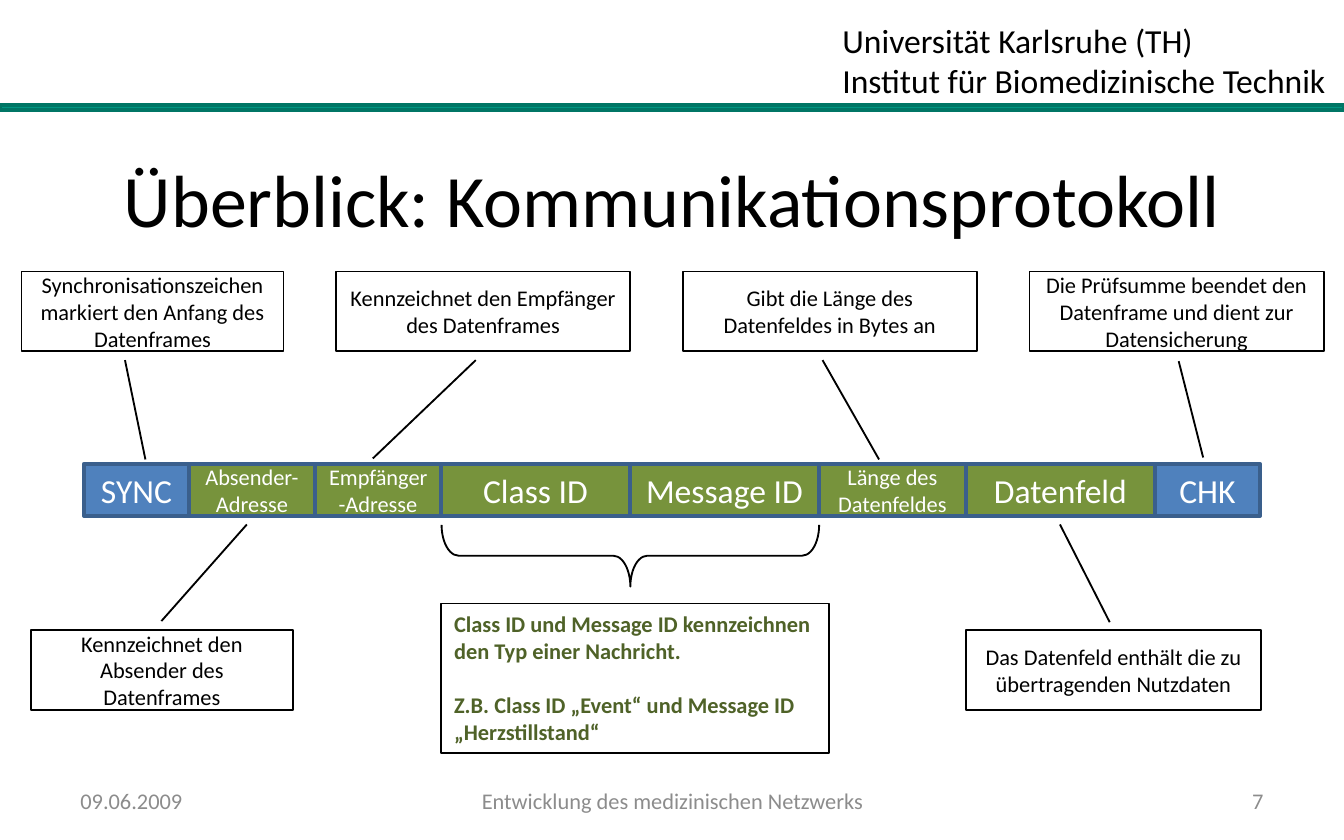
from pptx import Presentation
from pptx.dml.color import RGBColor
from pptx.enum.shapes import MSO_SHAPE
from pptx.enum.text import MSO_ANCHOR, PP_ALIGN
from pptx.util import Inches, Pt

BLACK = RGBColor(0x00, 0x00, 0x00)
WHITE = RGBColor(0xFF, 0xFF, 0xFF)
GRAY = RGBColor(0x8C, 0x8C, 0x8C)
TEAL = RGBColor(0x00, 0x96, 0x82)
DARK_TEAL = RGBColor(0x00, 0x76, 0x65)
BLUE = RGBColor(0x4F, 0x81, 0xBD)
DARK_BLUE = RGBColor(0x3A, 0x5F, 0x8C)
GREEN = RGBColor(0x77, 0x93, 0x3C)
DARK_GREEN = RGBColor(0x4F, 0x62, 0x28)

HEADER = ["Universität Karlsruhe (TH)", "Institut für Biomedizinische Technik"]
TITLE = "Überblick: Kommunikationsprotokoll"
FOOTERS = [
    ("09.06.2009", 0.5, 2.33, PP_ALIGN.LEFT),
    ("Entwicklung des medizinischen Netzwerks", 3.42, 3.17, PP_ALIGN.CENTER),
    ("7", 7.17, 2.33, PP_ALIGN.RIGHT),
]
FRAME_LEFT, FRAME_TOP, FRAME_WIDTH, FRAME_HEIGHT = 0.625, 3.45, 8.75, 0.39
FIELDS = [
    ("SYNC", 5, 18, BLUE),
    ("Absender-Adresse", 6, 12, GREEN),
    ("Empfänger-Adresse", 6, 12, GREEN),
    ("Class ID", 9, 18, GREEN),
    ("Message ID", 9, 18, GREEN),
    ("Länge des Datenfeldes", 7, 12, GREEN),
    ("Datenfeld", 9, 18, GREEN),
    ("CHK", 5, 18, BLUE),
]
UPPER, LOWER, CALLOUT_HEIGHT = 2.02, 4.69, 0.59
CALLOUTS = [
    ("Synchronisationszeichen markiert den Anfang des Datenframes",
     0.16, UPPER, 1.95, (1.118, 0.395, 2.37, 0.473)),
    ("Kennzeichnet den Absender des Datenframes",
     0.23, LOWER, 1.95, (-0.117, 0.498, -1.335, 0.824)),
    ("Kennzeichnet den Empfänger des Datenframes",
     2.5, UPPER, 2.19, (1.118, 0.475, 2.358, 0.125)),
    ("Gibt die Länge des Datenfeldes in Bytes an",
     5.08, UPPER, 2.19, (1.118, 0.475, 2.37, 0.667)),
    ("Das Datenfeld enthält die zu übertragenden Nutzdaten",
     7.19, LOWER, 2.19, (-0.104, 0.487, -1.335, 0.318)),
    ("Die Prüfsumme beendet den Datenframe und dient zur Datensicherung",
     7.66, UPPER, 2.19, (1.131, 0.507, 2.345, 0.59)),
]
MESSAGE_TYPE = [
    "Class ID und Message ID kennzeichnen den Typ einer Nachricht.",
    "Z.B. Class ID „Event“ und Message ID „Herzstillstand“",
]


def write_text(shape, paragraphs, size=12, color=BLACK, bold=False, align=PP_ALIGN.CENTER,
               anchor=MSO_ANCHOR.MIDDLE, wrap=True, gap=0):
    frame = shape.text_frame
    frame.word_wrap = wrap
    frame.vertical_anchor = anchor
    for index, text in enumerate(paragraphs):
        paragraph = frame.paragraphs[0] if index == 0 else frame.add_paragraph()
        paragraph.alignment = align
        paragraph.space_before = Pt(gap if index else 0)
        run = paragraph.add_run()
        run.text = text
        run.font.name = "Calibri"
        run.font.size = Pt(size)
        run.font.bold = bold
        run.font.color.rgb = color


def add_text(slide, box, paragraphs, **text_format):
    write_text(slide.shapes.add_textbox(*map(Inches, box)), paragraphs, **text_format)


def add_outlined(slide, kind, box, fill=None, line=BLACK, line_width=1, adjustments=()):
    shape = slide.shapes.add_shape(kind, *map(Inches, box))
    shape.shadow.inherit = False
    if fill is None:
        shape.fill.background()
    else:
        shape.fill.solid()
        shape.fill.fore_color.rgb = fill
    shape.line.color.rgb = line
    shape.line.width = Pt(line_width)
    for index, value in enumerate(adjustments):
        shape.adjustments[index] = value
    return shape


def main():
    presentation = Presentation()
    presentation.slide_width = Inches(10)
    presentation.slide_height = Inches(6.25)
    slide = presentation.slides.add_slide(presentation.slide_layouts[6])

    add_outlined(slide, MSO_SHAPE.RECTANGLE, (0, 0.78, 10, 0.04), TEAL, DARK_TEAL, 2)
    add_text(slide, (6.17, 0.1, 3.84, 0.71), HEADER, size=18, align=PP_ALIGN.LEFT,
             anchor=MSO_ANCHOR.TOP, wrap=False)
    add_text(slide, (0.5, 0.98, 9, 0.98), [TITLE], size=39.6)
    for text, left, width, align in FOOTERS:
        add_text(slide, (left, 5.79, width, 0.33), [text], color=GRAY, align=align)

    unit = FRAME_WIDTH / sum(units for _, units, _, _ in FIELDS)
    left = FRAME_LEFT
    for text, units, size, fill in FIELDS:
        field = add_outlined(slide, MSO_SHAPE.RECTANGLE,
                             (left, FRAME_TOP, units * unit, FRAME_HEIGHT), fill, DARK_BLUE, 2)
        write_text(field, [text], size=size, color=WHITE)
        left += units * unit

    for text, left, top, width, pointer in CALLOUTS:
        callout = add_outlined(slide, MSO_SHAPE.LINE_CALLOUT_1,
                               (left, top, width, CALLOUT_HEIGHT), WHITE, adjustments=pointer)
        write_text(callout, [text])

    brace = add_outlined(slide, MSO_SHAPE.RIGHT_BRACE, (4.46, 2.73, 0.46, 2.81),
                         adjustments=(0.276, 0.5))
    brace.rotation = 90
    message_box = add_outlined(slide, MSO_SHAPE.RECTANGLE, (3.28, 4.49, 2.89, 1.11))
    write_text(message_box, MESSAGE_TYPE, color=DARK_GREEN, bold=True, align=PP_ALIGN.LEFT,
               anchor=MSO_ANCHOR.TOP, gap=14.65)

    presentation.save("out.pptx")


if __name__ == "__main__":
    main()
